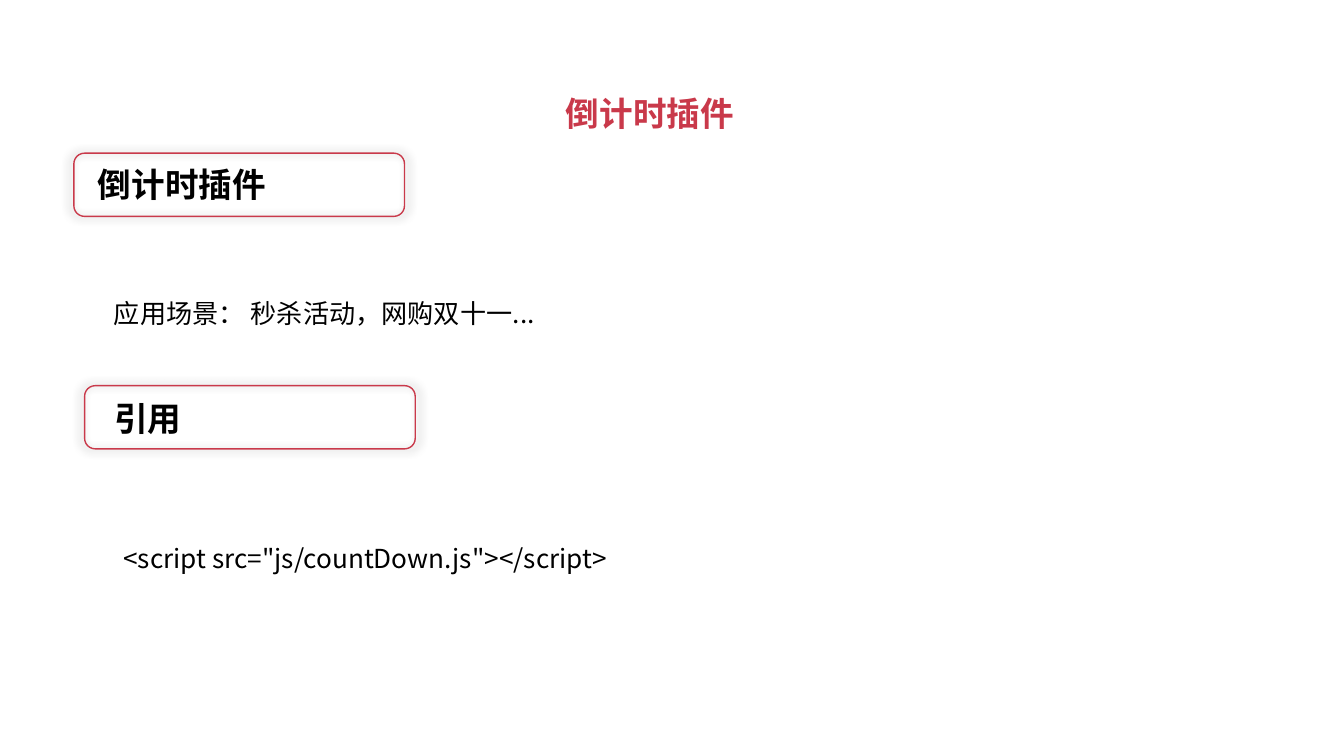
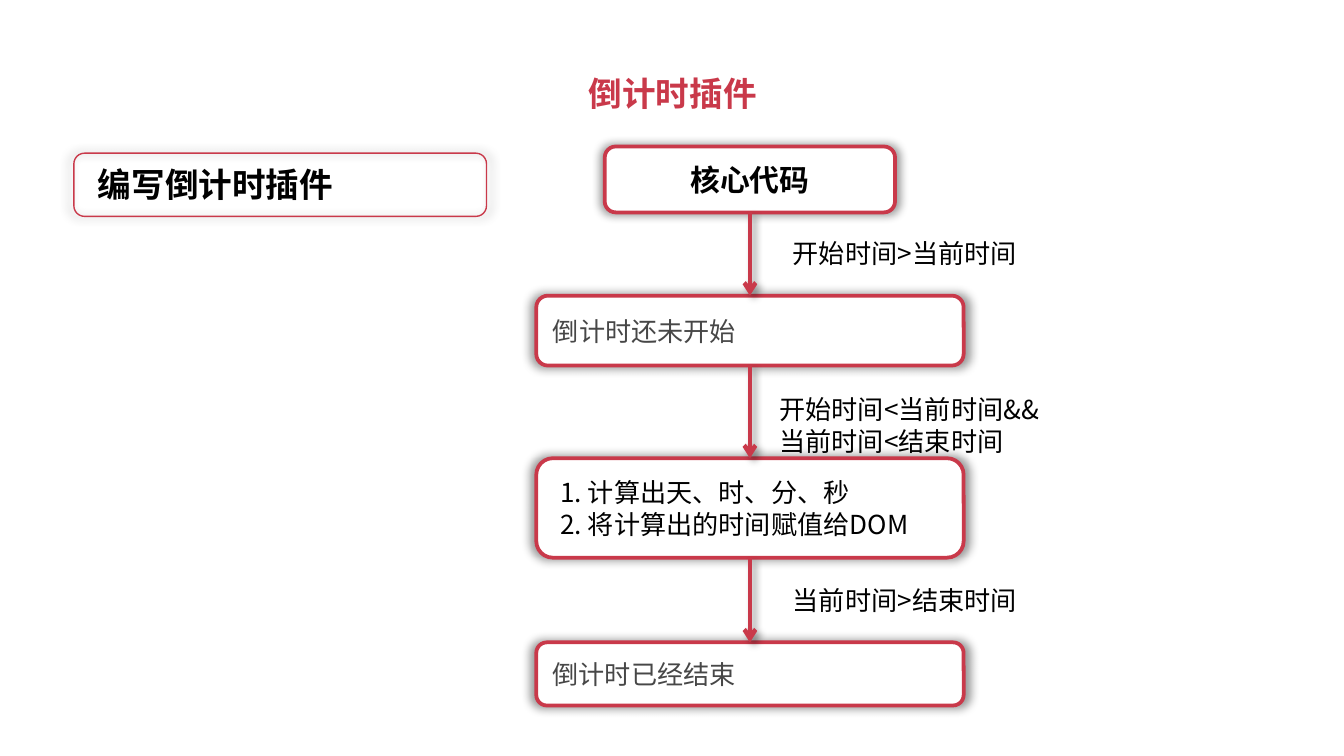
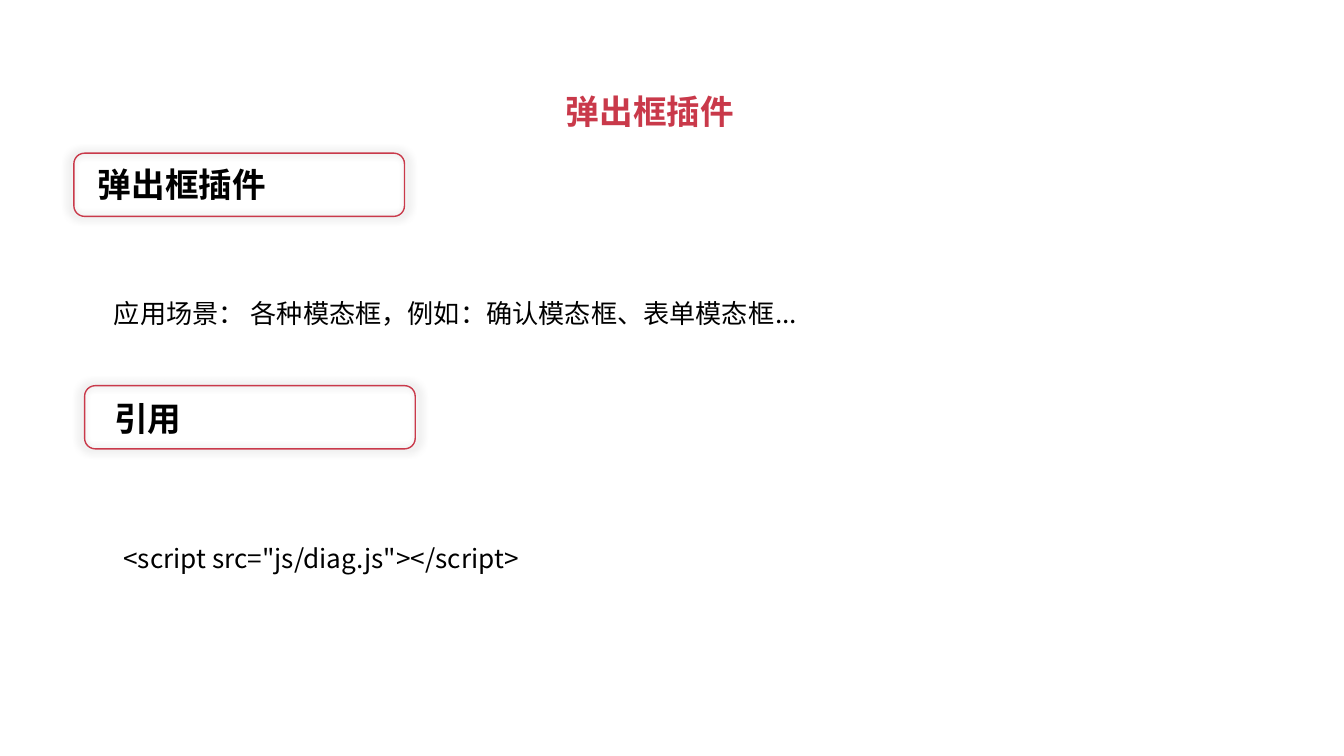
from itertools import pairwise

from lxml import etree
from pptx import Presentation
from pptx import util as u
from pptx.dml.color import RGBColor
from pptx.enum import shapes, text
from pptx.oxml.ns import qn

FONT = "Noto Sans CJK SC"
COLORS = {"accent": "C9394A", "ink": "000000", "muted": "474747", "paper": "FFFFFF"}
TITLE = {"size": 18, "bold": True, "color": "accent"}
HEADING = {"size": 18, "bold": True, "color": "ink"}
BODY = {"size": 14, "bold": False, "color": "ink"}
STATUS = {**BODY, "color": "muted"}
CORE = {**HEADING, "size": 16}
GLOW = {"blurRad": u.Pt(5), "sx": 102000, "sy": 102000, "algn": "ctr", "rotWithShape": 0}
DROP = {"blurRad": u.Pt(4), "dist": u.Pt(3), "dir": 45 * 60000, "algn": "tl",
        "rotWithShape": 0}
BOTTOM, TOP = 2, 0


def rgb(name):
    return RGBColor.from_string(COLORS[name])


def inches(*lengths):
    return [u.Inches(length) for length in lengths]


def write(frame, lines, style, align=text.PP_ALIGN.LEFT):
    frame.text = lines
    look = {"name": FONT, "size": u.Pt(style["size"]), "bold": style["bold"]}
    for paragraph in frame.paragraphs:
        paragraph.alignment = align
        for run in paragraph.runs:
            for key, value in look.items():
                setattr(run.font, key, value)
            run.font.color.rgb = rgb(style["color"])
            east_asian = etree.SubElement(run.font._element, qn("a:ea"))
            east_asian.set("typeface", FONT)


def add_shadow(effects, values):
    shadow = etree.SubElement(effects, qn("a:outerShdw"))
    for key, value in values.items():
        shadow.set(key, str(value))
    color = etree.SubElement(shadow, qn("a:srgbClr"), val=COLORS["ink"])
    etree.SubElement(color, qn("a:alpha"), val="40000")


def add_text(slide, box, lines, style, anchor=text.MSO_ANCHOR.TOP,
             align=text.PP_ALIGN.LEFT, wrap=True):
    frame = slide.shapes.add_textbox(*inches(*box)).text_frame
    settings = {"word_wrap": wrap, "vertical_anchor": anchor,
                "auto_size": text.MSO_AUTO_SIZE.SHAPE_TO_FIT_TEXT}
    for key, value in settings.items():
        setattr(frame, key, value)
    write(frame, lines, style, align)


def add_title(slide, left, top, words):
    add_text(slide, (left, top, 1.45, 0.4), words, TITLE,
             align=text.PP_ALIGN.CENTER, wrap=False)


def add_outlined(slide, preset, box, weight):
    outlined = slide.shapes.add_shape(preset, *inches(*box))
    outlined.line.color.rgb = rgb("accent")
    outlined.line.width = u.Pt(weight)
    outlined.shadow.inherit = False
    add_shadow(outlined.element.spPr.find(qn("a:effectLst")), GLOW)
    return outlined


def add_heading(slide, frame_left, frame_top, frame_width, text_left, text_top, words):
    add_text(slide, (text_left, text_top, 8.18, 0.4), words, HEADING)
    frame = add_outlined(slide, shapes.MSO_SHAPE.FLOWCHART_ALTERNATE_PROCESS,
                         (frame_left, frame_top, frame_width, 0.47), 0.75)
    frame.fill.background()


def add_main_heading(slide, width, words):
    add_heading(slide, 0.55, 1.14, width, 0.63, 1.17, words)


def add_body(slide, left, top, words):
    add_text(slide, (left, top, 9.37, 0.34), words, BODY, text.MSO_ANCHOR.MIDDLE)


def add_step(slide, top, width, height, lines, style, align=text.PP_ALIGN.LEFT):
    axis = 5.58
    step = add_outlined(slide, shapes.MSO_SHAPE.ROUNDED_RECTANGLE,
                        (axis - width / 2, top, width, height), 2)
    step.fill.solid()
    step.fill.fore_color.rgb = rgb("paper")
    step.text_frame.vertical_anchor = text.MSO_ANCHOR.MIDDLE
    step.text_frame.word_wrap = True
    write(step.text_frame, lines, style, align)
    return step


def add_arrow(slide, upper, lower):
    arrow = slide.shapes.add_connector(shapes.MSO_CONNECTOR.STRAIGHT, 0, 0, 0, 0)
    arrow.begin_connect(upper, BOTTOM)
    arrow.end_connect(lower, TOP)
    arrow.line.color.rgb = rgb("accent")
    arrow.line.width = u.Pt(2.25)
    properties = arrow.element.spPr
    etree.SubElement(properties.find(qn("a:ln")), qn("a:tailEnd"), type="arrow")
    add_shadow(etree.SubElement(properties, qn("a:effectLst")), DROP)


def build_intro(slide, title_top, plugin, usage, script_tag):
    add_title(slide, 4.11, title_top, plugin)
    add_main_heading(slide, 2.46, plugin)
    add_heading(slide, 0.63, 2.87, 2.46, 0.75, 2.91, "引用")
    add_body(slide, 0.75, 2.16, usage)
    add_body(slide, 0.82, 3.98, script_tag)


def build_flow(slide):
    add_title(slide, 4.28, 0.49, "倒计时插件")
    add_main_heading(slide, 3.07, "编写倒计时插件")
    steps = [
        add_step(slide, 1.09, 2.16, 0.49, "核心代码", CORE, text.PP_ALIGN.CENTER),
        add_step(slide, 2.2, 3.18, 0.52, "倒计时还未开始", STATUS),
        add_step(slide, 3.41, 3.18, 0.74,
                 " 1. 计算出天、时、分、秒\n 2. 将计算出的时间赋值给DOM", BODY),
        add_step(slide, 4.78, 3.18, 0.47, "倒计时已经结束", STATUS),
    ]
    for upper, lower in pairwise(steps):
        add_arrow(slide, upper, lower)
    conditions = [
        ((5.8, 1.72, 2.18, 0.34), "开始时间>当前时间"),
        ((5.7, 2.88, 2.42, 0.57), "开始时间<当前时间&&\n当前时间<结束时间"),
        ((5.8, 4.3, 2.42, 0.34), "当前时间>结束时间"),
    ]
    for box, condition in conditions:
        add_text(slide, box, condition, BODY)


def main():
    deck = Presentation()
    deck.slide_width = u.Inches(10)
    deck.slide_height = deck.slide_width * 9 // 16
    blank = deck.slide_layouts[6]
    countdown, flow, dialog = [deck.slides.add_slide(blank) for _ in range(3)]
    build_intro(countdown, 0.64, "倒计时插件", "应用场景： 秒杀活动，网购双十一...",
                '<script src="js/countDown.js"></script>')
    build_flow(flow)
    build_intro(dialog, 0.63, "弹出框插件",
                "应用场景： 各种模态框，例如：确认模态框、表单模态框...",
                '<script src="js/diag.js"></script>')
    deck.save("out.pptx")


if __name__ == "__main__":
    main()
